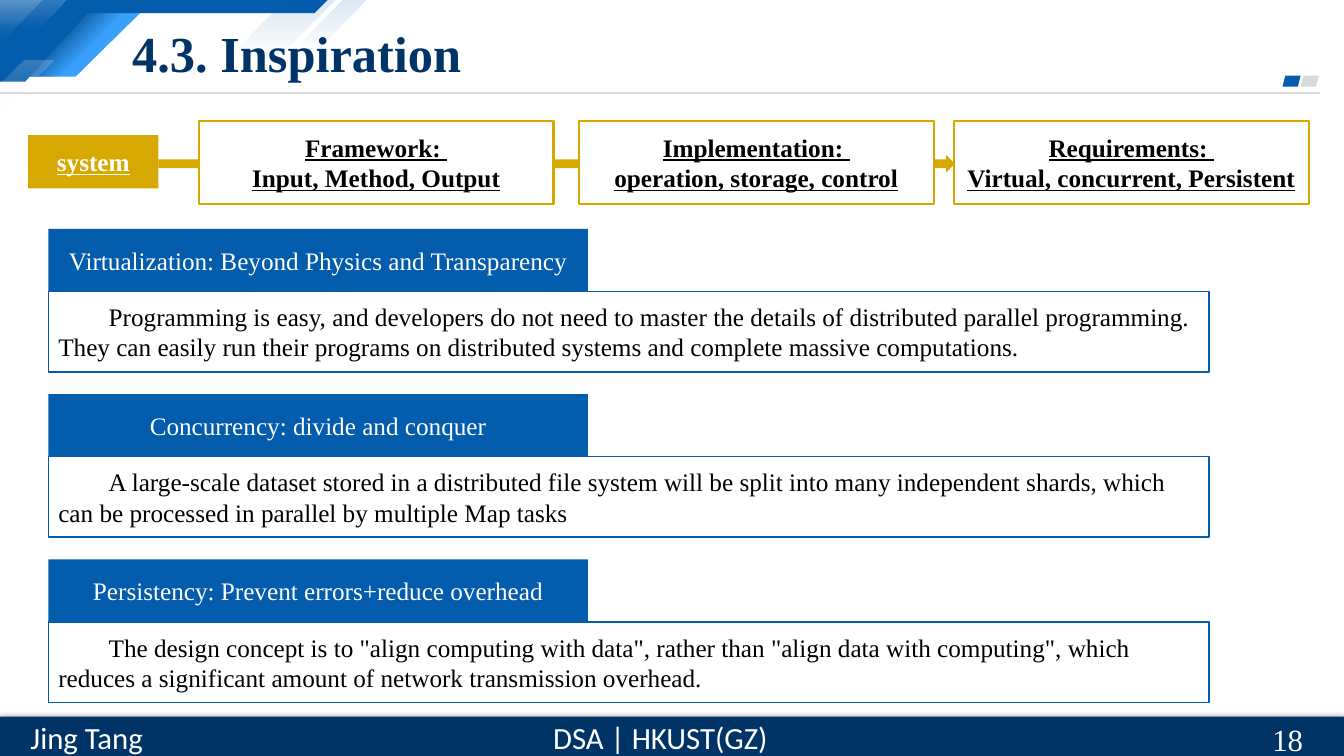
from lxml import etree
from pptx import Presentation
from pptx.dml.color import RGBColor
from pptx.enum.shapes import MSO_CONNECTOR, MSO_SHAPE as SHAPE
from pptx.enum.text import MSO_ANCHOR, PP_ALIGN as ALIGN
from pptx.oxml import parse_xml
from pptx.oxml.ns import nsdecls, qn
from pptx.util import Inches, Pt

WIDTH, HEIGHT = 13.33, 7.5
SERIF, SANS = "Times New Roman", "Calibri"
COLORS = {"navy": "003366", "blue": "035CAC", "sky": "39A0FC", "deep": "024581",
          "gold": "D7A800", "gray": "D9D9D9", "white": "FFFFFF", "black": "000000"}

TITLE = "4.3. Inspiration"
FOOTER = [  # text, box, font
    ("DSA | HKUST(GZ)", (5.36, 7.08, 2.38, 0.47), SANS, ALIGN.CENTER),
    ("Jing Tang", (0.16, 7.08, 1.4, 0.47), SANS, ALIGN.CENTER),
    ("18", (12.52, 7.13, 0.81, 0.4), SERIF, ALIGN.LEFT),
]
STEPS = [  # left edge, lines
    (1.97, ["Framework: ", "Input, Method, Output"]),
    (5.74, ["Implementation: ", "operation, storage, control"]),
    (9.46, ["Requirements: ", "Virtual, concurrent, Persistent"]),
]
IDEAS = [
    ("Virtualization: Beyond Physics and Transparency",
     "Programming is easy, and developers do not need to master the details of distributed "
     "parallel programming. They can easily run their programs on distributed systems and "
     "complete massive computations."),
    ("Concurrency: divide and conquer",
     "A large-scale dataset stored in a distributed file system will be split into many "
     "independent shards, which can be processed in parallel by multiple Map tasks"),
    ("Persistency: Prevent errors+reduce overhead",
     'The design concept is to "align computing with data", rather than "align data with '
     'computing", which reduces a significant amount of network transmission overhead.'),
]
IDEA_LEFT, IDEA_TOP, IDEA_PITCH = 0.48, 2.27, 1.64
HEAD_SIZE, BODY_SIZE = (5.35, 0.62), (11.51, 0.8)

# A gradient is (angle, [(position, colour, opacity), ...]), all in degrees or percent.
WHITE_FADE = (90, [(0, "white", 20), (100, "white", 0)])
BLUE_FADE = (90, [(0, "blue", 15), (100, "blue", 0)])
DEEP_FADE = (45, [(29, "deep", 100), (57, "deep", 0)])
RIBBON = [(0.84, 0.07), (1.45, 0.07), (0.75, 0.76), (0.16, 0.76)]
CORNER = [
    (RIBBON, "sky"),
    (RIBBON, DEEP_FADE),
    ([(0, 0), (3.25, 0), (3.12, 0.13), (0.87, 0.13), (0.25, 0.81), (0, 0.81)], "blue"),
    ([(0, 0), (0.42, 0), (0, 0.42)], WHITE_FADE),
    ([(0, 0), (0.66, 0), (0.39, 0.28), (0, 0.28)], WHITE_FADE),
    ([(2.84, 0), (3.33, 0), (2.72, 0.61), (2.22, 0.61)], BLUE_FADE),
    ([(3.4, 0), (3.64, 0), (3.15, 0.49), (2.91, 0.49)], BLUE_FADE),
    ([(0.23, 0.6), (0.53, 0.6), (-0.07, 1.2), (-0.37, 1.2)], WHITE_FADE),
]


def rgb(name):
    return RGBColor.from_string(COLORS[name])


def color_xml(name, opacity):
    return (f'<a:srgbClr val="{COLORS[name]}">'
            f'<a:alpha val="{opacity * 1000}"/></a:srgbClr>')


def paint(shape, fill, line=None, weight=1):
    """Fill with a colour name, a gradient or nothing, and set the outline."""
    shape.shadow.inherit = False
    if isinstance(fill, tuple):
        angle, stops = fill
        stops_xml = "".join(f'<a:gs pos="{pos * 1000}">{color_xml(name, opacity)}</a:gs>'
                            for pos, name, opacity in stops)
        gradient = parse_xml(f'<a:gradFill {nsdecls("a")} rotWithShape="1"><a:gsLst>{stops_xml}'
                             f'</a:gsLst><a:lin ang="{angle * 60000}" scaled="0"/></a:gradFill>')
        geometry = shape._element.spPr.find(qn("a:custGeom"))
        geometry.addnext(gradient)
    elif fill:
        shape.fill.solid()
        shape.fill.fore_color.rgb = rgb(fill)
    else:
        shape.fill.background()
    if line:
        shape.line.color.rgb = rgb(line)
        shape.line.width = Pt(weight)
    else:
        shape.line.fill.background()


def write(shape, lines, color, size=18, align=ALIGN.CENTER, indent=0, **font):
    frame = shape.text_frame
    frame.word_wrap = True
    frame.vertical_anchor = MSO_ANCHOR.MIDDLE
    frame.text = "\n".join(lines)
    for para in frame.paragraphs:
        para.alignment = align
        if indent:
            para._p.get_or_add_pPr().set("indent", str(Inches(indent)))
        for span in para.runs:
            for key, value in {"name": SERIF, "size": Pt(size), **font}.items():
                setattr(span.font, key, value)
            span.font.color.rgb = rgb(color)


def add_box(page, kind, place, fill, line=None, weight=1):
    box = page.shapes.add_shape(kind, *map(Inches, place))
    paint(box, fill, line, weight)
    return box


def add_template(page):
    for points, fill in CORNER:
        corners = [(Inches(x), Inches(y)) for x, y in points]
        builder = page.shapes.build_freeform(*corners[0], scale=1)
        builder.add_line_segments(corners[1:], close=True)
        paint(builder.convert_to_shape(), fill)

    rule = page.shapes.add_connector(MSO_CONNECTOR.STRAIGHT, 0, Inches(0.92),
                                     Inches(13.09), Inches(0.92))
    rule.line.color.rgb = rgb("gray")
    rule.line.width = Pt(1.5)
    etree.SubElement(rule._element.spPr, qn("a:effectLst"))

    for left, color in ((12.9, "gray"), (12.72, "blue")):
        add_box(page, SHAPE.PARALLELOGRAM, (left, 0.75, 0.18, 0.11), color)

    bar = add_box(page, SHAPE.RECTANGLE, (0, 7.11, WIDTH, 0.4), "navy")
    bar._element.spPr.find(qn("a:effectLst")).append(parse_xml(
        f'<a:outerShdw {nsdecls("a")} blurRad="{Pt(4.5)}" dist="{Pt(1.5)}" dir="{90 * 60000}" '
        f'rotWithShape="0">{color_xml("black", 63)}</a:outerShdw>'))
    for text, place, font, align in FOOTER:
        label = page.shapes.add_textbox(*map(Inches, place))
        write(label, [text], "white", 22, align, name=font)


def add_title(page):
    title = page.shapes.title
    title.left, title.top, title.width, title.height = map(Inches, (1.21, 0.17, 10.21, 0.69))
    write(title, [TITLE], "navy", 36, ALIGN.LEFT, bold=True)
    page.shapes._spTree.append(title._element)  # in front of the corner pattern


def add_steps(page):
    add_box(page, SHAPE.RIGHT_ARROW, (1.57, 1.54, 7.9, 0.17), "gold")
    system = add_box(page, SHAPE.RECTANGLE, (0.28, 1.34, 1.29, 0.53), "gold")
    write(system, ["system"], "white", bold=True, underline=True)
    for left, lines in STEPS:
        step = add_box(page, SHAPE.RECTANGLE, (left, 1.2, 3.52, 0.82), "white", "gold", 1.5)
        write(step, lines, "black", bold=True, underline=True)


def add_ideas(page):
    for row, (heading, detail) in enumerate(IDEAS):
        top = IDEA_TOP + row * IDEA_PITCH
        head = add_box(page, SHAPE.RECTANGLE, (IDEA_LEFT, top, *HEAD_SIZE), "blue")
        write(head, [heading], "white")
        body = add_box(page, SHAPE.RECTANGLE, (IDEA_LEFT, top + HEAD_SIZE[1], *BODY_SIZE),
                       None, "blue")
        write(body, [detail], "black", align=ALIGN.LEFT, indent=0.5)


def main():
    deck = Presentation()
    deck.slide_width, deck.slide_height = Inches(WIDTH), Inches(HEIGHT)
    page = deck.slides.add_slide(deck.slide_layouts[5])
    add_template(page)
    add_title(page)
    add_steps(page)
    add_ideas(page)
    deck.save("out.pptx")


if __name__ == "__main__":
    main()
